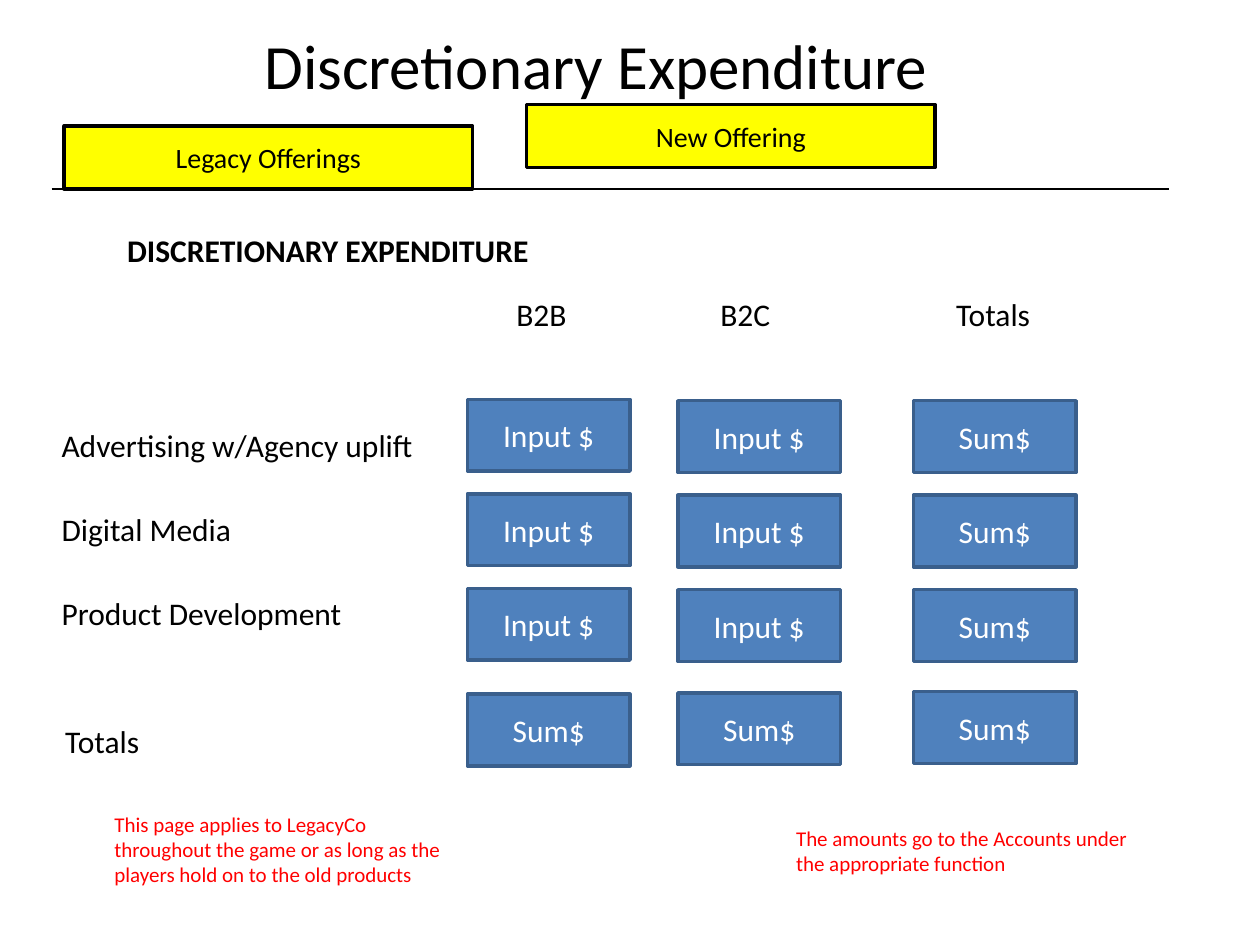
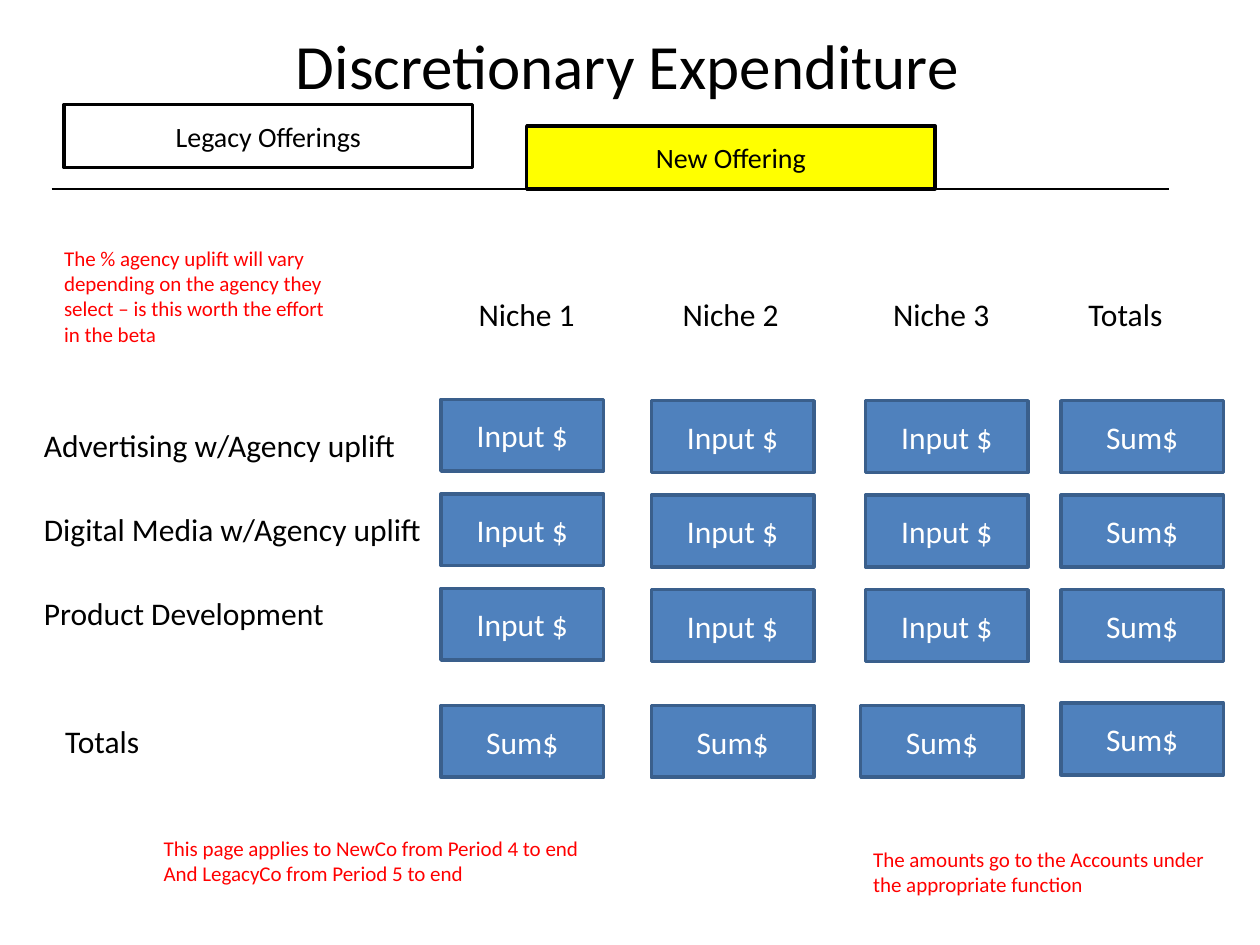
from pptx import Presentation
from pptx.dml.color import RGBColor
from pptx.enum.shapes import MSO_CONNECTOR as Connector, MSO_SHAPE as Preset
from pptx.enum.text import MSO_ANCHOR as Anchor, MSO_AUTO_SIZE as AutoSize, PP_ALIGN as Align
from pptx.util import Pt
from lxml import etree

# Shared look
FONT = "Calibri"
BLACK, WHITE, RED, YELLOW = "000000", "FFFFFF", "FF0000", "FFFF00"
BLUE, DARK_BLUE = "4F81BD", "3A5F8C"
DRAWING = "http://schemas.openxmlformats.org/drawingml/2006/main"

# Shared layout, in points
TITLE = "Discretionary Expenditure"
TITLE_TOP, TITLE_SIZE = 11.5, (396.7, 51.1)
TABS = [("Legacy Offerings", 36.7), ("New Offering", 301)]
TAB_SIZE, TAB_RAISED, TAB_RESTING = (233.3, 36), 59.8, 72
RULE_LEFT, RULE_RIGHT, RULE_TOP = 29.5, 668.2, 108
CELL_SIZE, CELL_PITCH, INPUT_ROWS = (92.9, 41), 54, 3
HEADER_TOP, TEXT_HEIGHT = 164.9, 28.8
LABEL_TOP, LABEL_PITCH = 239.8, 48.2
TOTALS_LABEL = ("Totals", 30.2, 409, 56.9)

# Columns: heading, its left and width, cell left, first cell top,
# total left, total top, cell text
# Notes: lines, left, top, width, height, wrapped
PAGES = [
    {
        "title_left": 144,
        "resting_tab": "Legacy Offerings",
        "yellow_tabs": ["Legacy Offerings", "New Offering"],
        "subtitle": ("DISCRETIONARY EXPENDITURE", 65.5, 128.2, 246.2),
        "label_left": 28.1,
        "labels": [("Advertising w/Agency uplift", 218.2),
                   ("Digital Media ", 116.6),
                   ("Product Development", 176.4)],
        "columns": [
            ("B2B", 288, 43.2, 267.1, 228.2, 267.1, 396.7, "Input $"),
            ("B2C", 404.6, 43.2, 387.4, 229, 387.4, 396, "Input $"),
            ("Totals", 539.3, 56.9, 522, 229, 522, 395.3, "Sum$"),
        ],
        "notes": [
            (["This page applies to LegacyCo throughout the game or as long "
              "as the players hold on to the old products"],
             58.3, 460.1, 207.4, 51.1, True),
            (["The amounts go to the Accounts under the appropriate function"],
             447.8, 468, 221.8, 36, True),
        ],
    },
    {
        "title_left": 162,
        "resting_tab": "New Offering",
        "yellow_tabs": ["New Offering"],
        "subtitle": None,
        "label_left": 18,
        "labels": [("Advertising w/Agency uplift", 218.2),
                   ("Digital Media w/Agency uplift ", 236.9),
                   ("Product Development", 176.4)],
        "columns": [
            ("Niche 1", 266.4, 70.6, 252, 228.2, 252, 403.2, "Input $"),
            ("Niche 2", 383, 70.6, 372.2, 229, 372.2, 403.2, "Input $"),
            ("Niche 3", 503.3, 70.6, 494.6, 229, 491.8, 403.2, "Input $"),
            ("Totals", 614.9, 56.9, 606.2, 229, 606.2, 401.8, "Sum$"),
        ],
        "notes": [
            (["This page applies to NewCo from Period 4 to end",
              "And LegacyCo from Period 5 to end"],
             86.4, 473.8, 254.9, 36, False),
            (["The amounts go to the Accounts under the appropriate function"],
             491.8, 480.2, 221.8, 36, True),
            (["The % agency uplift will vary depending on the agency they "
              "select \u2013 is this worth the effort in the beta"],
             29.5, 136.8, 164.9, 65.5, True),
        ],
    },
]


def colour(value):
    return RGBColor.from_string(value)


def write(shape, lines, size=18, text_colour=BLACK, bold=False, align=Align.LEFT):
    """Fill a shape with one paragraph per line."""
    frame = shape.text_frame
    frame.text = "\n".join(lines)
    for paragraph in frame.paragraphs:
        paragraph.alignment = align
        for run in paragraph.runs:
            run.font.name, run.font.size, run.font.bold = FONT, Pt(size), bold
            run.font.color.rgb = colour(text_colour)


def add_text(slide, lines, left, top, width, height=TEXT_HEIGHT, wrap=False, **text_format):
    shape = slide.shapes.add_textbox(Pt(left), Pt(top), Pt(width), Pt(height))
    write(shape, lines, **text_format)
    shape.text_frame.word_wrap = wrap
    shape.text_frame.auto_size = AutoSize.SHAPE_TO_FIT_TEXT


def add_box(slide, text, left, top, box_size, fill, line, **text_format):
    width, height = box_size
    shape = slide.shapes.add_shape(Preset.RECTANGLE, Pt(left), Pt(top), Pt(width), Pt(height))
    shape.shadow.inherit = False
    if fill:
        shape.fill.solid()
        shape.fill.fore_color.rgb = colour(fill)
    else:
        shape.fill.background()
    shape.line.color.rgb = colour(line)
    shape.line.width = Pt(2)
    shape.text_frame.vertical_anchor = Anchor.MIDDLE
    write(shape, [text], align=Align.CENTER, **text_format)


def add_header(slide, page):
    """Tabs, the rule they rest on, and the title."""
    for name, left in TABS:
        top = TAB_RESTING if name == page["resting_tab"] else TAB_RAISED
        fill = YELLOW if name in page["yellow_tabs"] else None
        add_box(slide, name, left, top, TAB_SIZE, fill, BLACK, size=16)
    rule = slide.shapes.add_connector(
        Connector.STRAIGHT, Pt(RULE_LEFT), Pt(RULE_TOP), Pt(RULE_RIGHT), Pt(RULE_TOP))
    rule.line.color.rgb = colour(BLACK)
    rule.line.width = Pt(1.5)
    etree.SubElement(rule._element.spPr, f"{{{DRAWING}}}effectLst")
    add_text(slide, [TITLE], page["title_left"], TITLE_TOP, *TITLE_SIZE, size=36)


def add_grid(slide, page):
    """Row labels, then each column from heading to total."""
    for row, (label, width) in enumerate(page["labels"]):
        add_text(slide, [label], page["label_left"], LABEL_TOP + row * LABEL_PITCH, width)
    label, left, top, width = TOTALS_LABEL
    add_text(slide, [label], left, top, width)

    for heading, left, width, cell_left, first_top, total_left, total_top, entry in page["columns"]:
        add_text(slide, [heading], left, HEADER_TOP, width)
        cells = [(entry, cell_left, first_top + row * CELL_PITCH) for row in range(INPUT_ROWS)]
        cells.append(("Sum$", total_left, total_top))
        for text, x, y in cells:
            add_box(slide, text, x, y, CELL_SIZE, BLUE, DARK_BLUE, text_colour=WHITE)


presentation = Presentation()
presentation.slide_width, presentation.slide_height = Pt(720), Pt(540)
for page in PAGES:
    slide = presentation.slides.add_slide(presentation.slide_layouts[6])
    add_header(slide, page)
    if page["subtitle"]:
        text, left, top, width = page["subtitle"]
        add_text(slide, [text], left, top, width, bold=True)
    add_grid(slide, page)
    for lines, left, top, width, height, wrap in page["notes"]:
        add_text(slide, lines, left, top, width, height, wrap, size=12, text_colour=RED)
presentation.save("out.pptx")
